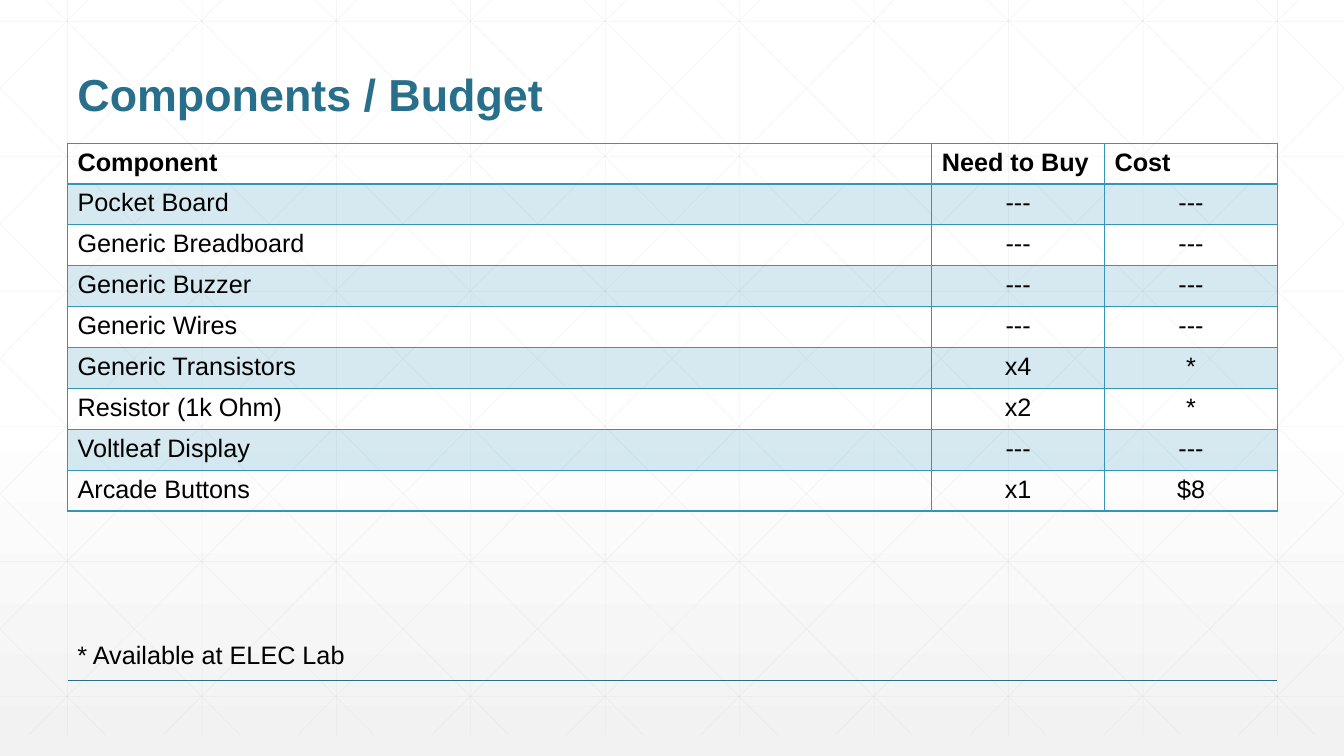
from copy import deepcopy
from dataclasses import dataclass

from lxml import etree
from pptx import Presentation
from pptx.dml.color import RGBColor
from pptx.enum.shapes import MSO_CONNECTOR
from pptx.enum.text import MSO_ANCHOR, PP_ALIGN
from pptx.oxml.ns import qn
from pptx.util import Inches, Pt

STRAIGHT = MSO_CONNECTOR.STRAIGHT
TOP, BOTTOM = MSO_ANCHOR.TOP, MSO_ANCHOR.BOTTOM
LEFT, CENTER = PP_ALIGN.LEFT, PP_ALIGN.CENTER

WIDTH, HEIGHT = 13.33, 7.5
MARGIN, CONTENT = 0.67, 12
GRID_TOP, GRID_BOTTOM = -0.21, 7.29
PITCH = 4 / 3
DIAGONAL_START, DIAGONAL_RUN = 0.25, 7.46

ROWS = [
    ("Component", "Need to Buy", "Cost"),
    ("Pocket Board", "---", "---"),
    ("Generic Breadboard", "---", "---"),
    ("Generic Buzzer", "---", "---"),
    ("Generic Wires", "---", "---"),
    ("Generic Transistors", "x4", "*"),
    ("Resistor (1k Ohm)", "x2", "*"),
    ("Voltleaf Display", "---", "---"),
    ("Arcade Buttons", "x1", "$8"),
]


@dataclass(frozen=True)
class Theme:
    """Colours, font and type sizes of the slide."""
    font: str = "Arial"
    title: str = "276F8B"
    accent: str = "3494BA"
    text: str = "000000"
    grid: str = "D9D9D9"
    backdrop: tuple = ((0, "FFFFFF"), (0.53, "FFFFFF"), (1, "F2F2F2"))
    title_size: int = 32
    body_size: int = 18


def set_alpha(parent, percent):
    """Give the solid colour inside parent an opacity in percent."""
    color = next(parent.iter(qn("a:srgbClr")))
    etree.SubElement(color, qn("a:alpha"), val=str(percent * 1000))


def set_borders(cell, color, widths):
    """Draw the four cell borders; widths follow left, right, top, bottom."""
    tcPr = cell._tc.get_or_add_tcPr()
    for i, (side, width) in enumerate(zip("LRTB", widths)):
        ln = etree.Element(qn(f"a:ln{side}"), w=str(Pt(width)))
        fill = etree.SubElement(ln, qn("a:solidFill"))
        etree.SubElement(fill, qn("a:srgbClr"), val=color)
        tcPr.insert(i, ln)


class SlideBuilder:
    """Holds the theme and the current slide."""

    def __init__(self, slide, theme):
        """Keep the slide and its theme."""
        self.s, self.theme = slide, theme

    def background(self):
        """Fill the slide with a vertical gradient."""
        fill = self.s.background.fill
        fill.gradient()
        fill.gradient_angle = 270
        first = next(self.s.background._cSld.iter(qn("a:gs")))
        first.addnext(deepcopy(first))
        for stop, (position, color) in zip(fill.gradient_stops, self.theme.backdrop):
            stop.position = position
            stop.color.rgb = RGBColor.from_string(color)

    def line(self, x1, y1, x2, y2, color, width, alpha=None):
        """Add a straight line."""
        sp = self.s.shapes.add_connector(STRAIGHT, *map(Inches, (x1, y1, x2, y2)))
        sp.line.color.rgb = RGBColor.from_string(color)
        sp.line.width = Pt(width)
        if alpha:
            set_alpha(sp.line._ln, alpha)
        etree.SubElement(sp._element.spPr, qn("a:effectLst"))

    def grid_line(self, *ends):
        """Add one faint line of the backdrop grid."""
        self.line(*ends, self.theme.grid, 0.5, alpha=25)

    def fill_text(self, tf, text, color, size, bold=False, align=LEFT, spacing=1.0):
        """Put one formatted paragraph into a text frame."""
        p = tf.paragraphs[0]
        p.alignment, p.line_spacing = align, spacing
        r = p.add_run()
        r.text = text
        formats = {"name": self.theme.font, "size": Pt(size), "bold": bold}
        for name, value in formats.items():
            setattr(r.font, name, value)
        r.font.color.rgb = RGBColor.from_string(color)

    def text(self, box, text, color, size, anchor=TOP, **formats):
        """Add a wrapping text box."""
        tf = self.s.shapes.add_textbox(*map(Inches, box)).text_frame
        tf.word_wrap, tf.vertical_anchor = True, anchor
        self.fill_text(tf, text, color, size, **formats)

    def table(self, box, rows, shares):
        """Add a bordered table with tinted odd rows."""
        t = self.theme
        width, height = box[2:]
        table = self.s.shapes.add_table(len(rows), len(shares), *map(Inches, box)).table
        table.first_row = table.horz_banding = False
        for column, share in zip(table.columns, shares):
            column.width = Inches(width * share / sum(shares))
        for i, values in enumerate(rows):
            table.rows[i].height = Inches(height / len(rows))
            for j, value in enumerate(values):
                cell = table.cell(i, j)
                if i % 2:
                    cell.fill.solid()
                    cell.fill.fore_color.rgb = RGBColor.from_string(t.accent)
                    set_alpha(cell._tc.tcPr, 20)
                else:
                    cell.fill.background()
                set_borders(cell, t.accent, (1, 1, 2 if i == 1 else 1, 2 if i == 0 else 1))
                self.fill_text(cell.text_frame, value, t.text, t.body_size, bold=i == 0,
                               align=CENTER if i and j else LEFT)


def draw_grid(b):
    """Draw the upright, level and mirrored diagonal lines of the backdrop."""
    for i in range(10):
        x = MARGIN + i * PITCH
        b.grid_line(x, GRID_TOP, x, GRID_BOTTOM)
    for i in range(6):
        y = 0.21 + i * 1.34
        b.grid_line(0, y, WIDTH, y)
    slope = (GRID_BOTTOM - GRID_TOP) / DIAGONAL_RUN
    for i in range(-5, 10):
        start = DIAGONAL_START + i * PITCH
        x1, x2 = max(start, 0), min(start + DIAGONAL_RUN, WIDTH)
        y1, y2 = (GRID_TOP + (x - start) * slope for x in (x1, x2))
        b.grid_line(x1, y1, x2, y2)
        b.grid_line(WIDTH - x1, y1, WIDTH - x2, y2)


def main():
    """Build the slide and save it."""
    prs = Presentation()
    prs.slide_width, prs.slide_height = Inches(WIDTH), Inches(HEIGHT)
    t = Theme()
    b = SlideBuilder(prs.slides.add_slide(prs.slide_layouts[6]), t)
    b.background()
    draw_grid(b)
    b.line(MARGIN, 6.75, MARGIN + CONTENT, 6.75, t.title, 1)
    b.text((MARGIN, 0.25, CONTENT, 1), "Components / Budget", t.title, t.title_size,
           anchor=BOTTOM, bold=True, spacing=0.9)
    b.table((MARGIN, 1.42, CONTENT, 3.65), ROWS, (5, 1, 1))
    b.text((MARGIN, 6.29, 3.92, 0.4), "* Available at ELEC Lab", t.text, t.body_size)
    prs.save("out.pptx")


main()
